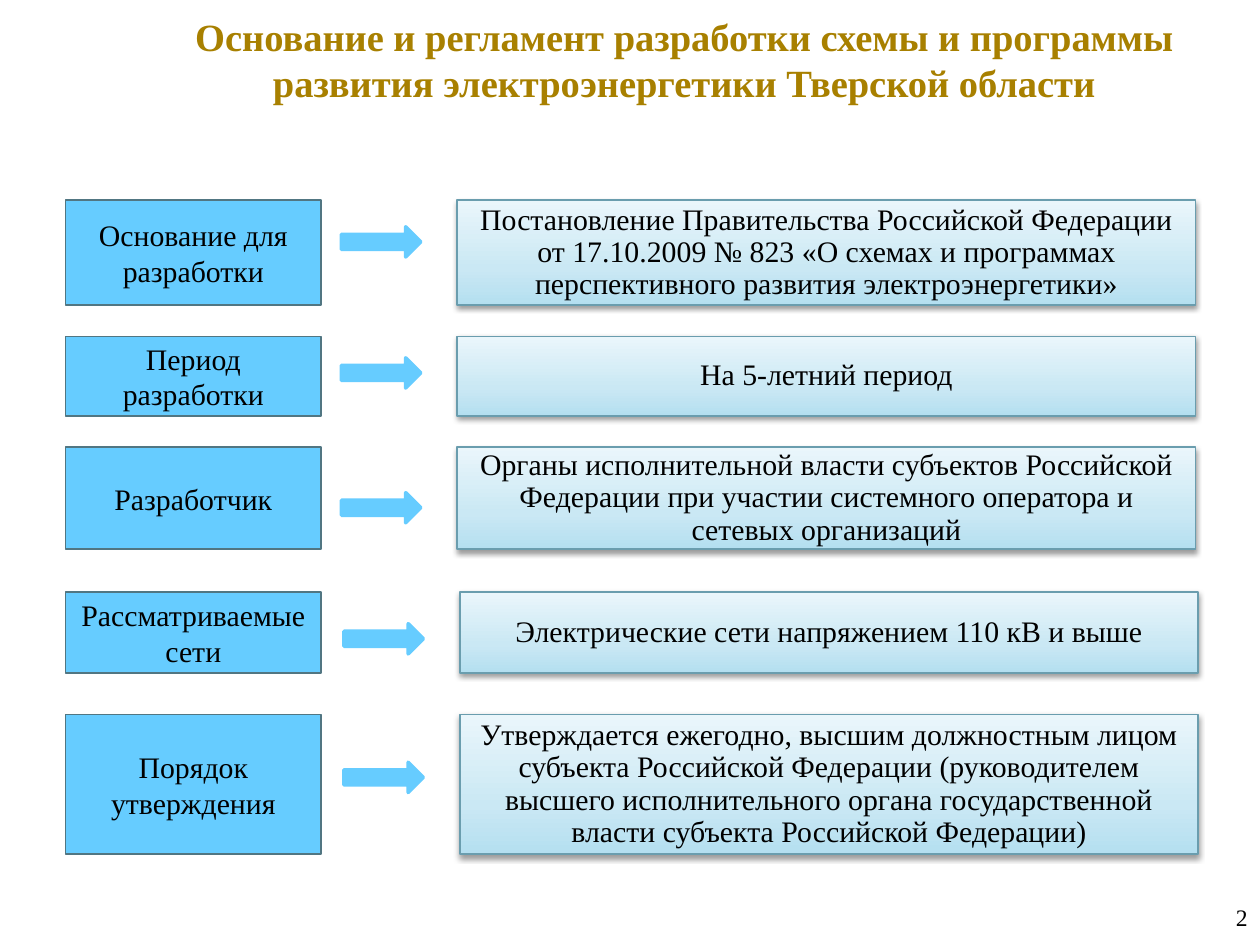
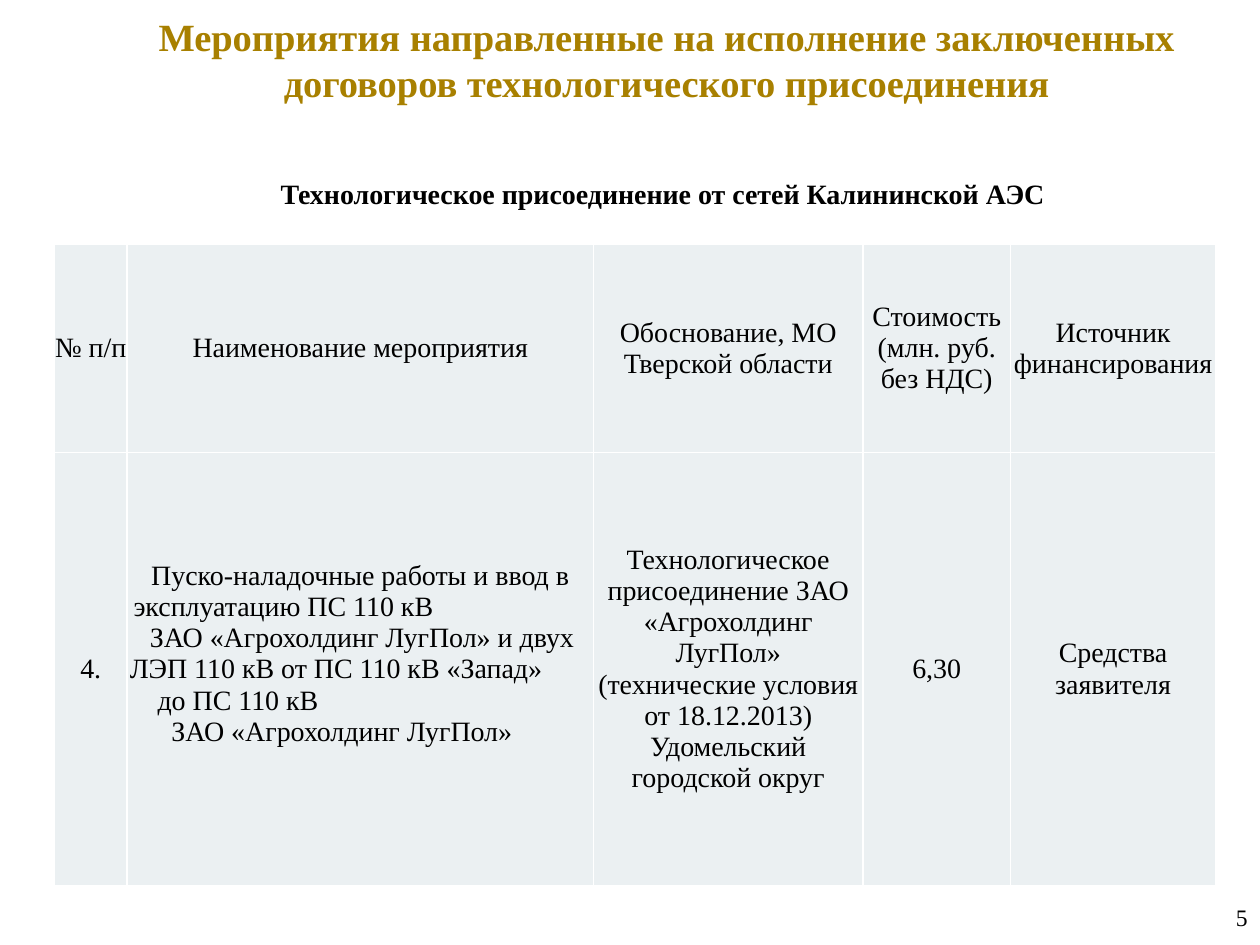
"""Build two slides on the Tver region power grid development programme."""
from dataclasses import dataclass

from pptx import Presentation
from pptx.dml.color import RGBColor
from pptx.enum import shapes, text
from pptx.oxml import parse_xml
from pptx.oxml.ns import nsdecls
from pptx.util import Inches, Pt

COLORS = {
    "black": "000000", "white": "FFFFFF", "gold": "A88000",
    "sky": "66CCFF", "label_line": "517682", "detail_line": "6A9DAE",
    "grad_dark": "B4DFF0", "grad_mid": "CAE8F4", "grad_light": "EAF6FB",
    "cell": "EBF0F2",
}
FONT = "Times New Roman"
CENTER, LEFT, RIGHT = text.PP_ALIGN.CENTER, text.PP_ALIGN.LEFT, text.PP_ALIGN.RIGHT
TOP, MIDDLE = text.MSO_ANCHOR.TOP, text.MSO_ANCHOR.MIDDLE
LABEL_LEFT, LABEL_WIDTH, DETAIL_WIDTH = 0.52, 2.03, 5.86
ARROW_WIDTH, ARROW_HEIGHT, ARROW_GAP = 0.63, 0.24, 0.92


@dataclass
class Step:
    """A label, an arrow and the detail box it points to."""
    label: str
    details: list[str]
    top: float
    height: float
    arrow_top: float
    detail_left: float = 3.63


@dataclass
class Line:
    """A left-aligned line of a cell with its indent in inches."""
    words: str
    indent: float


STEPS = [
    Step("Основание для разработки",
         ["Постановление Правительства Российской Федерации",
          "от 17.10.2009 № 823 «О схемах и программах перспективного развития "
          "электроэнергетики»"], 1.59, 0.83, 1.8),
    Step("Период разработки", ["На 5-летний период"], 2.67, 0.63, 2.84),
    Step("Разработчик",
         ["Органы исполнительной власти субъектов Российской Федерации при участии "
          "системного оператора и сетевых организаций"], 3.55, 0.81, 3.91),
    Step("Рассматриваемые сети", ["Электрические сети напряжением 110 кВ и выше"],
         4.7, 0.64, 4.95, 3.65),
    Step("Порядок утверждения",
         ["Утверждается ежегодно, высшим должностным лицом субъекта Российской "
          "Федерации (руководителем высшего исполнительного органа государственной "
          "власти субъекта Российской Федерации)"], 5.67, 1.11, 6.05, 3.65),
]

COLUMN_WIDTHS = [0.58, 3.7, 2.14, 1.17, 1.63]
ROW_HEIGHTS = [1.65, 3.44]
HEADER = ["№ п/п", "Наименование мероприятия", "Обоснование, МО Тверской области",
          "Стоимость (млн. руб. без НДС)", "Источник финансирования"]
WORKS = [
    Line("Пуско-наладочные работы и ввод в", 0.19),
    Line("эксплуатацию ПС 110 кВ", 0.05),
    Line("ЗАО «Агрохолдинг ЛугПол» и двух", 0.18),
    Line("ЛЭП 110 кВ от ПС 110 кВ «Запад»", 0.02),
    Line("до ПС 110 кВ", 0.24),
    Line("ЗАО «Агрохолдинг ЛугПол»", 0.35),
]
REASON = ["Технологическое присоединение ЗАО «Агрохолдинг\vЛугПол»\v"
          "(технические условия от 18.12.2013)", "Удомельский городской округ"]


def rgb(name: str) -> RGBColor:
    """Return the named colour."""
    return RGBColor.from_string(COLORS[name])


def write(tf, lines: list, size: float, color: str = "black", bold: bool = False,
          align=CENTER, spacing: float = 1.0) -> None:
    """Fill a text frame with one paragraph per line."""
    for i, line in enumerate(lines):
        p = tf.paragraphs[0] if i == 0 else tf.add_paragraph()
        p.text = line.words if isinstance(line, Line) else line
        layout = {"alignment": align, "line_spacing": spacing, "space_before": Pt(0)}
        if isinstance(line, Line):
            layout["alignment"] = LEFT
            p._p.get_or_add_pPr().set("marL", str(Inches(line.indent)))
        for key, value in layout.items():
            setattr(p, key, value)
        for r in p.runs:
            for key, value in {"name": FONT, "size": Pt(size), "bold": bold}.items():
                setattr(r.font, key, value)
            r.font.color.rgb = rgb(color)


def frame(sp, anchor):
    """Set the shared text frame options and return the frame."""
    tf = sp.text_frame
    inset = Inches(0.05 if anchor == TOP else 0)
    options = {"word_wrap": True, "auto_size": text.MSO_AUTO_SIZE.NONE,
               "vertical_anchor": anchor, "margin_left": Inches(0.1),
               "margin_right": Inches(0.1), "margin_top": inset,
               "margin_bottom": inset}
    for key, value in options.items():
        setattr(tf, key, value)
    return tf


def add_text(s, box: tuple, words: str, size: float, anchor=TOP, **style) -> None:
    """Add a one-paragraph text box."""
    sp = s.shapes.add_textbox(*map(Inches, box))
    write(frame(sp, anchor), [words], size, **style)


def new_slide(prs, title: str, left: float, width: float, number: int):
    """Add a slide with its title and page number."""
    s = prs.slides.add_slide(prs.slide_layouts[5])
    sp = s.shapes.title
    place = {"left": left, "top": 0.05, "width": width, "height": 0.85}
    for key, value in place.items():
        setattr(sp, key, Inches(value))
    write(frame(sp, TOP), [title], 22, "gold", True)
    add_text(s, (8.03, 7.08, 1.97, 0.39), str(number), 13.5, MIDDLE, align=RIGHT)
    return s


def add_block(s, kind, box: tuple, line: str, weight: float):
    """Add a sky-blue preset shape without a shadow."""
    sp = s.shapes.add_shape(kind, *map(Inches, box))
    sp.shadow.inherit = False
    sp.fill.solid()
    sp.fill.fore_color.rgb = rgb("sky")
    sp.line.color.rgb = rgb(line)
    sp.line.width = Pt(weight)
    return sp


def add_glow(sp) -> None:
    """Give a shape the vertical gradient and soft shadow of a detail box."""
    sp.fill.background()
    stops = {0: "grad_dark", 35: "grad_mid", 100: "grad_light"}
    gs = "".join(f'<a:gs pos="{pos * 1000}"><a:srgbClr val="{COLORS[name]}"/></a:gs>'
                 for pos, name in stops.items())
    spPr = sp._element.spPr
    ns = nsdecls("a")
    spPr.replace(spPr.find("{*}noFill"), parse_xml(
        f'<a:gradFill {ns} rotWithShape="1"><a:gsLst>{gs}</a:gsLst>'
        '<a:lin ang="16200000" scaled="0"/></a:gradFill>'))
    spPr.replace(spPr.find("{*}effectLst"), parse_xml(
        f'<a:effectLst {ns}><a:outerShdw blurRad="{Pt(3.1)}" dist="{Pt(1.6)}" '
        f'dir="5400000" rotWithShape="0"><a:srgbClr val="{COLORS["black"]}">'
        '<a:alpha val="38000"/></a:srgbClr></a:outerShdw></a:effectLst>'))


def add_step(s, step: Step) -> None:
    """Draw one row of the scheme."""
    rect, arrow = shapes.MSO_SHAPE.RECTANGLE, shapes.MSO_SHAPE.RIGHT_ARROW
    label = add_block(s, rect, (LABEL_LEFT, step.top, LABEL_WIDTH, step.height),
                      "label_line", 1)
    detail = add_block(s, rect, (step.detail_left, step.top, DETAIL_WIDTH, step.height),
                       "detail_line", 1)
    add_glow(detail)
    write(frame(label, MIDDLE), [step.label], 17)
    write(frame(detail, MIDDLE), step.details, 17, spacing=0.9)
    add_block(s, arrow, (step.detail_left - ARROW_GAP, step.arrow_top,
                         ARROW_WIDTH, ARROW_HEIGHT), "sky", 2)


def format_cell(cell, lines: list) -> None:
    """Fill a table cell with text, colour and white borders."""
    bottom = Inches(0.24) if lines is WORKS else 0
    options = {"vertical_anchor": MIDDLE, "margin_left": 0, "margin_right": 0,
               "margin_top": 0, "margin_bottom": bottom}
    for key, value in options.items():
        setattr(cell, key, value)
    tcPr = cell._tc.get_or_add_tcPr()
    for side in "LRTB":
        tcPr.append(parse_xml(
            f'<a:ln{side} {nsdecls("a")} w="{Pt(1)}"><a:solidFill>'
            f'<a:srgbClr val="{COLORS["white"]}"/></a:solidFill></a:ln{side}>'))
    cell.fill.solid()
    cell.fill.fore_color.rgb = rgb("cell")
    write(cell.text_frame, lines, 16)


def add_works_table(s) -> None:
    """Add the table of connection works."""
    rows = [[[name] for name in HEADER],
            [["4."], WORKS, REASON, ["6,30"], ["Средства заявителя"]]]
    box = (0.43, 1.94, sum(COLUMN_WIDTHS), sum(ROW_HEIGHTS))
    table = s.shapes.add_table(len(rows), len(HEADER), *map(Inches, box)).table
    table.first_row = table.horz_banding = False
    for column, width in zip(table.columns, COLUMN_WIDTHS):
        column.width = Inches(width)
    for i, (row, height) in enumerate(zip(rows, ROW_HEIGHTS)):
        table.rows[i].height = Inches(height)
        for j, lines in enumerate(row):
            format_cell(table.cell(i, j), lines)


def main() -> None:
    """Build and save the presentation."""
    prs = Presentation()
    prs.slide_width, prs.slide_height = Inches(10), Inches(7.5)

    s = new_slide(prs, "Основание и регламент разработки схемы и программы развития "
                  "электроэнергетики Тверской области", 1.35, 8.16, 2)
    for step in STEPS:
        add_step(s, step)

    s = new_slide(prs, "Мероприятия направленные на исполнение заключенных договоров "
                  "технологического присоединения", 1.13, 8.32, 5)
    add_text(s, (1.1, 1.35, 8.32, 0.36),
             "Технологическое присоединение от сетей Калининской АЭС", 16, bold=True)
    add_works_table(s)

    prs.save("out.pptx")


if __name__ == "__main__":
    main()
